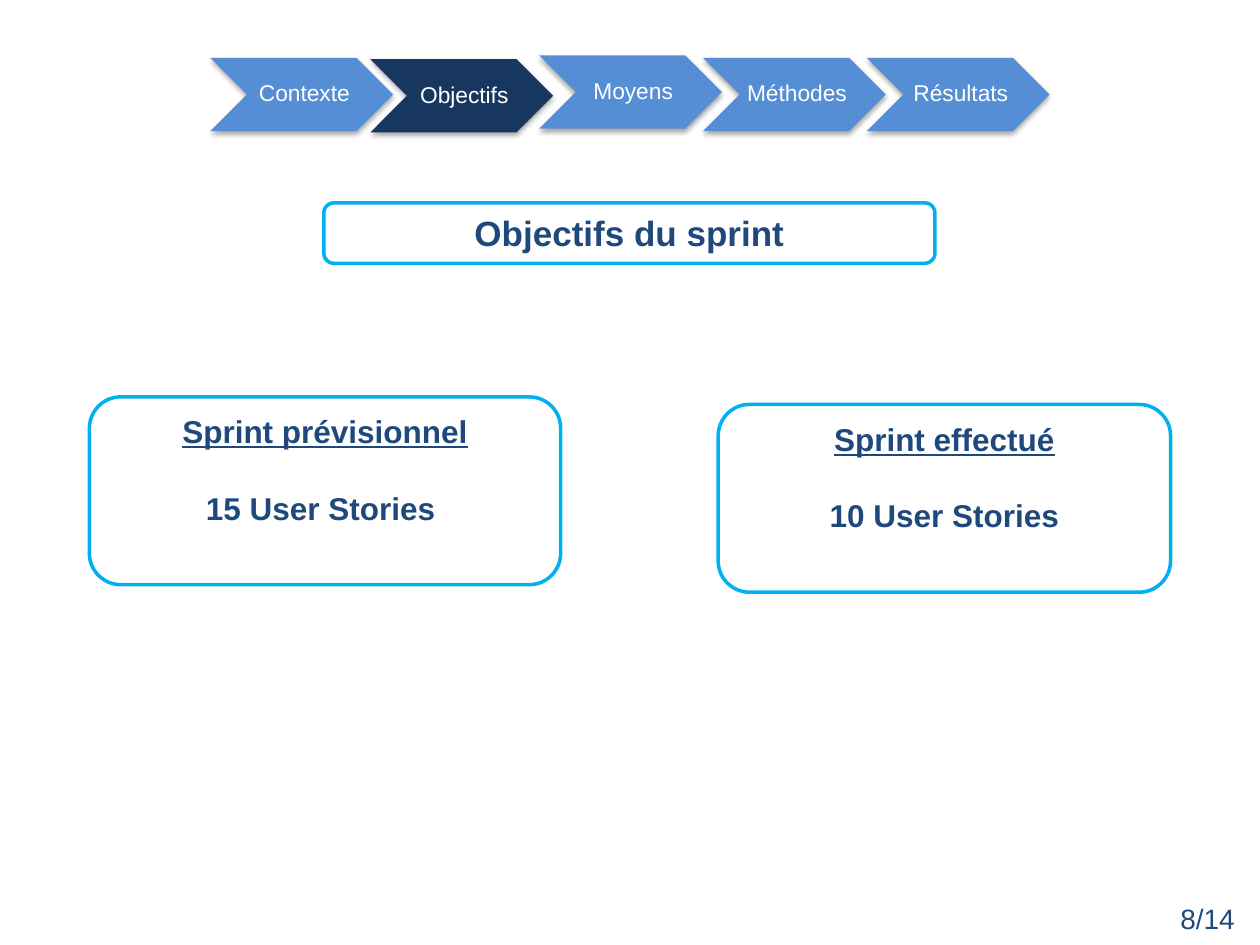
"""Build the sprint objectives slide with its progress chevrons."""
from lxml.etree import SubElement
from pptx import Presentation
from pptx.dml.color import RGBColor
from pptx.enum.shapes import MSO_SHAPE as Preset
from pptx.enum.text import MSO_ANCHOR as Anchor, PP_ALIGN as Align
from pptx.oxml.ns import qn
from pptx.util import Inches, Pt

WHITE = RGBColor(0xFF, 0xFF, 0xFF)
NAVY = RGBColor(0x1F, 0x49, 0x7D)
CYAN = RGBColor(0x00, 0xB0, 0xF0)
STEP_BLUE = RGBColor(0x55, 0x8E, 0xD5)
ACTIVE_BLUE = RGBColor(0x17, 0x37, 0x5E)

STEPS = [
    ("Contexte", 1.67, 0.46),
    ("Objectifs", 2.94, 0.47),
    ("Moyens", 4.28, 0.44),
    ("Méthodes", 5.58, 0.46),
    ("Résultats", 6.88, 0.46),
]
ACTIVE_STEP = "Objectifs"
STEP_SIZE = (1.45, 0.58)

TITLE_FONT = {"size": Pt(20), "bold": True}
HEADING_FONT = {"size": Pt(18), "bold": True, "underline": True}
COUNT_FONT = {"size": Pt(18), "bold": True}
PAGE_FONT = {"size": Pt(16)}
STEP_FONT = {"size": Pt(13)}
CENTRED = {"alignment": Align.CENTER}
COUNT_FORMAT = {**CENTRED, "space_before": Pt(22)}
STEP_FORMAT = {**CENTRED, "line_spacing": 0.9}
STEP_FRAME = {
    "word_wrap": False,
    "vertical_anchor": Anchor.MIDDLE,
    "margin_left": Inches(0.06),
    "margin_right": Inches(0.02),
    "margin_top": Inches(0.02),
    "margin_bottom": Inches(0.02),
}
BOX_FRAME = {"word_wrap": True, "vertical_anchor": Anchor.TOP}

BOXES = [
    ((0.71, 3.15, 3.74, 1.49), [
        ("Sprint prévisionnel", HEADING_FONT, CENTRED),
        ("15 User Stories ", COUNT_FONT, COUNT_FORMAT),
    ]),
    ((5.7, 3.21, 3.59, 1.49), [
        ("Sprint effectué", HEADING_FONT, CENTRED),
        ("10 User Stories", COUNT_FONT, COUNT_FORMAT),
    ]),
    ((2.57, 1.61, 4.85, 0.48), [("Objectifs du sprint", TITLE_FONT, CENTRED)]),
]
PAGE_NUMBER = ((9.27, 7.11, 0.73, 0.37), [("8/14", PAGE_FONT, {})])


def apply(target, values):
    for name, value in values.items():
        setattr(target, name, value)


def write(shape, lines, color, frame_format):
    frame = shape.text_frame
    apply(frame, frame_format)
    for index, (text, font, layout) in enumerate(lines):
        paragraph = frame.add_paragraph() if index else frame.paragraphs[0]
        apply(paragraph, layout)
        run = paragraph.add_run()
        run.text = text
        apply(run.font, {"name": "Arial", **font})
        run.font.color.rgb = color


def add_filled(slide, preset, place, fill):
    shape = slide.shapes.add_shape(preset, *map(Inches, place))
    shape.shadow.inherit = False
    shape.fill.solid()
    shape.fill.fore_color.rgb = fill
    return shape


def add_drop_shadow(shape):
    effects = shape.element.spPr.find(qn("a:effectLst"))
    shadow = SubElement(effects, qn("a:outerShdw"), blurRad=str(Pt(3.1)),
                        dist=str(Pt(1.8)), dir="5400000", rotWithShape="0")
    color = SubElement(shadow, qn("a:srgbClr"), val="000000")
    SubElement(color, qn("a:alpha"), val="35000")


def add_step(slide, label, left, top):
    fill = ACTIVE_BLUE if label == ACTIVE_STEP else STEP_BLUE
    chevron = add_filled(slide, Preset.CHEVRON, (left, top, *STEP_SIZE), fill)
    chevron.line.fill.background()
    add_drop_shadow(chevron)
    write(chevron, [(label, STEP_FONT, STEP_FORMAT)], WHITE, STEP_FRAME)


def add_box(slide, place, lines):
    box = add_filled(slide, Preset.ROUNDED_RECTANGLE, place, WHITE)
    box.line.color.rgb = CYAN
    box.line.width = Pt(2)
    write(box, lines, NAVY, BOX_FRAME)


def main():
    presentation = Presentation()
    presentation.slide_width = Inches(10)
    presentation.slide_height = Inches(7.5)
    slide = presentation.slides.add_slide(presentation.slide_layouts[6])
    for step in STEPS:
        add_step(slide, *step)
    for place, lines in BOXES:
        add_box(slide, place, lines)
    place, lines = PAGE_NUMBER
    page_box = slide.shapes.add_textbox(*map(Inches, place))
    write(page_box, lines, NAVY, BOX_FRAME)
    presentation.save("out.pptx")


if __name__ == "__main__":
    main()
